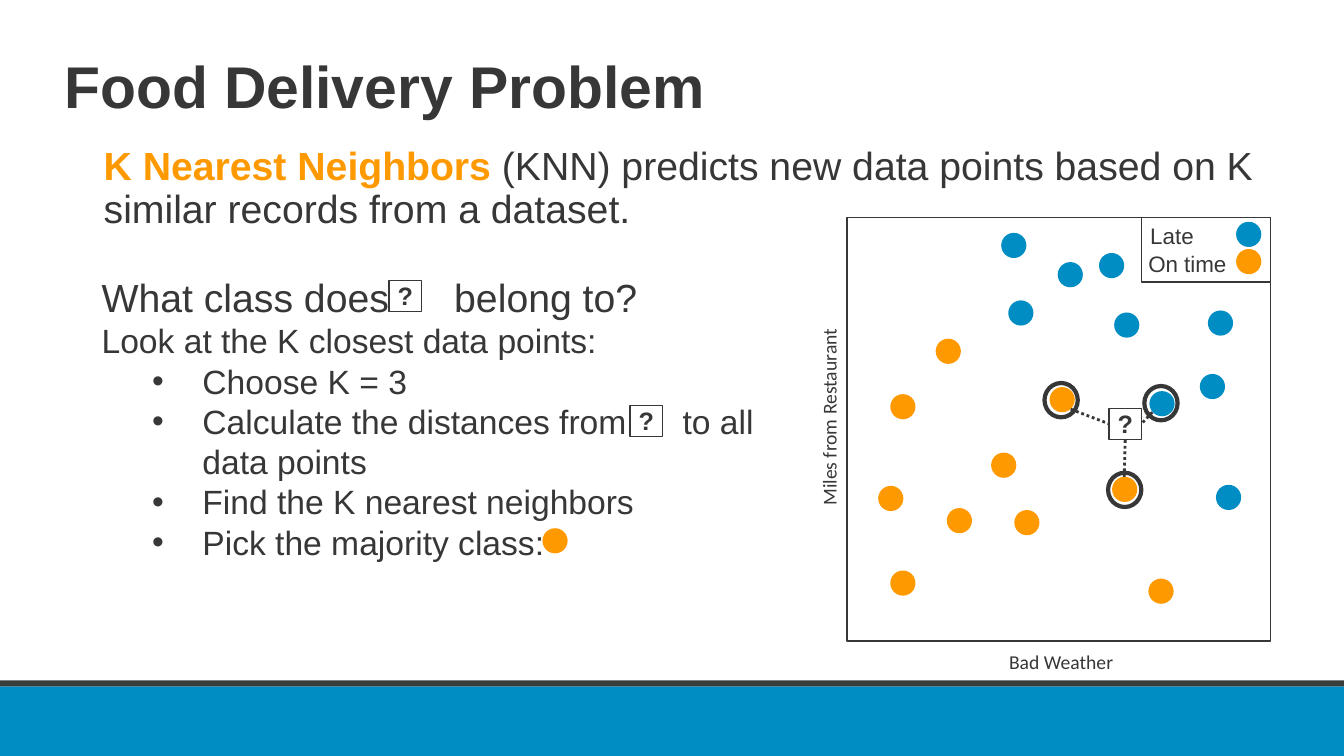
from dataclasses import dataclass

import pptx
import pptx.util
import pptx.dml.color
import pptx.enum.dml
import pptx.enum.shapes
import pptx.enum.text
from lxml import etree
from pptx.oxml.ns import qn
from pptx.util import Inches

COLORS = {"ink": "373737", "late": "008DC4", "on_time": "FF9900",
          "white": "FFFFFF", "stripe": "383D3B"}
RECTANGLE = pptx.enum.shapes.MSO_SHAPE.RECTANGLE
OVAL = pptx.enum.shapes.MSO_SHAPE.OVAL
DOT_SIZE = 0.25
GAP = " "


@dataclass
class Span:
    text: str
    size: float
    color: str = "ink"
    bold: bool = False
    font: str = "Arial"


@dataclass
class Line:
    spans: list[Span]
    bullet: bool = False
    spacing: float | None = None


@dataclass
class Label:
    left: float
    top: float
    width: float
    height: float
    line: Line
    rotation: float = 0
    wrap: bool = True


@dataclass
class Dots:
    color: str
    places: list[tuple[float, float]]


def rgb(name: str) -> pptx.dml.color.RGBColor:
    return pptx.dml.color.RGBColor.from_string(COLORS[name])


def write(frame, lines: list[Line]) -> None:
    frame.text = "\n".join("" for _ in lines)
    for para, line in zip(frame.paragraphs, lines):
        if line.bullet:
            para.level = 1
            properties = para._p.get_or_add_pPr()
            properties.set("marL", str(Inches(1)))
            properties.set("indent", str(Inches(-0.5)))
            etree.SubElement(properties, qn("a:buFont")).set("typeface", "Arial")
            etree.SubElement(properties, qn("a:buChar")).set("char", "•")
        if line.spacing:
            para.line_spacing = line.spacing
        for span in line.spans:
            run = para.add_run()
            run.text = span.text
            run.font.size = pptx.util.Pt(span.size)
            run.font.name = span.font
            run.font.bold = span.bold
            run.font.color.rgb = rgb(span.color)
            if span.text == GAP:  # one space widened to make room for a marker
                run._r.get_or_add_rPr().set("spc", str(round(span.size * 139)))


def add_text(page, left: float, top: float, width: float, height: float,
             lines: list[Line], wrap: bool = True):
    box = page.shapes.add_textbox(Inches(left), Inches(top), Inches(width), Inches(height))
    box.text_frame.word_wrap = wrap
    write(box.text_frame, lines)
    return box


def add_form(page, kind, left: float, top: float, width: float, height: float,
             fill: str | None = None, outline: float = 0):
    shape = page.shapes.add_shape(kind, Inches(left), Inches(top), Inches(width), Inches(height))
    shape.shadow.inherit = False
    if fill:
        shape.fill.solid()
        shape.fill.fore_color.rgb = rgb(fill)
    else:
        shape.fill.background()
    if outline:
        shape.line.color.rgb = rgb("ink")
        shape.line.width = pptx.util.Pt(outline)
    else:
        shape.line.fill.background()
    return shape


def add_unknown(page, left: float, top: float):
    marker = add_form(page, RECTANGLE, left, top, 0.32, 0.31, "white", 1)
    frame = marker.text_frame
    frame.margin_left = frame.margin_right = frame.margin_top = frame.margin_bottom = 0
    frame.vertical_anchor = pptx.enum.text.MSO_ANCHOR.MIDDLE
    write(frame, [Line([Span("?", 18, bold=True)])])
    frame.paragraphs[0].alignment = pptx.enum.text.PP_ALIGN.CENTER
    return marker


def add_distance(page, start: tuple[float, float], marker, side: int) -> None:
    x, y = (Inches(value) for value in start)
    link = page.shapes.add_connector(pptx.enum.shapes.MSO_CONNECTOR.STRAIGHT, x, y, x, y)
    link.end_connect(marker, side)
    link.line.color.rgb = rgb("ink")
    link.line.width = pptx.util.Pt(2)
    link.line.dash_style = pptx.enum.dml.MSO_LINE.ROUND_DOT
    etree.SubElement(link._element.spPr, qn("a:effectLst"))


TITLE = Line([Span("Food Delivery Problem", 42, bold=True)], spacing=0.9)
DEFINITION = Line([
    Span("K Nearest Neighbors ", 28, "on_time", True),
    Span("(KNN) predicts new data points based on K similar records from a dataset.", 28),
], spacing=0.9)
STEPS = [
    Line([Span("What class does", 28), Span(GAP, 28), Span("belong to?", 28)]),
    Line([Span("Look at the K closest data points:", 24)]),
    Line([Span("Choose K = 3", 24)], True),
    Line([Span("Calculate the distances from", 24), Span(GAP, 24),
          Span("to all data points", 24)], True),
    Line([Span("Find the K nearest neighbors", 24)], True),
    Line([Span("Pick the majority class:", 24)], True),
]
DOTS = [
    Dots("late", [(10.49, 2.6), (10.9, 2.51), (11.98, 3.08), (11.9, 3.71), (9.93, 2.31),
                  (10, 2.98), (11.4, 3.88), (12.06, 4.81), (11.05, 3.1), (12.26, 2.2)]),
    Dots("on_time", [(10.06, 5.06), (11.03, 4.73), (8.83, 3.91), (10.41, 3.84), (11.39, 5.74),
                     (9.83, 4.49), (8.71, 4.82), (8.83, 5.66), (9.39, 5.04), (9.28, 3.36),
                     (12.26, 2.47), (5.38, 5.24)]),
]
LEGEND = [
    Label(11.31, 2.15, 1.39, 0.37, Line([Span("Late", 16)])),
    Label(11.29, 2.43, 1.39, 0.37, Line([Span("On time", 16)])),
]
AXES = [
    Label(9.91, 6.4, 1.7, 0.34, Line([Span("Bad Weather", 14, font="Calibri")])),
    Label(7.24, 3.96, 1.97, 0.34, Line([Span("Miles from Restaurant", 14, font="Calibri")]),
          270, False),
]
RINGS = [(10.99, 4.69), (11.35, 3.83), (10.36, 3.8)]
DISTANCES = [((10.62, 4.06), 1), ((11.43, 4.09), 3), ((11.15, 4.73), 2)]


def main() -> None:
    deck = pptx.Presentation()
    deck.slide_width, deck.slide_height = Inches(13.33), Inches(7.5)
    page = deck.slides.add_slide(deck.slide_layouts[6])

    # Footer band
    add_form(page, RECTANGLE, 0, 6.81, 13.33, 0.69, "late")
    add_form(page, RECTANGLE, 0, 6.75, 13.33, 0.06, "stripe")

    # Title, definition and steps
    add_text(page, 0.91, 2.66, 6.67, 3.06, STEPS)
    add_text(page, 0.54, 0.52, 11.5, 1.09, [TITLE])
    add_text(page, 0.93, 1.41, 11.72, 0.99, [DEFINITION])
    for left, top in [(6.25, 4.02), (3.86, 2.78)]:
        add_unknown(page, left, top)

    # Scatter plot with legend
    add_form(page, RECTANGLE, 8.4, 2.16, 4.2, 4.2, outline=1)
    add_form(page, RECTANGLE, 11.32, 2.16, 1.28, 0.64, outline=1)
    for group in DOTS:
        for left, top in group.places:
            add_form(page, OVAL, left, top, DOT_SIZE, DOT_SIZE, group.color)
    for label in LEGEND + AXES:
        box = add_text(page, label.left, label.top, label.width, label.height,
                       [label.line], label.wrap)
        box.rotation = label.rotation

    # Nearest neighbors of the unknown point
    unknown = add_unknown(page, 11, 4.05)
    for start, side in DISTANCES:
        add_distance(page, start, unknown, side)
    for left, top in RINGS:
        add_form(page, OVAL, left, top, 0.33, 0.34, outline=3)

    deck.save("out.pptx")


if __name__ == "__main__":
    main()
